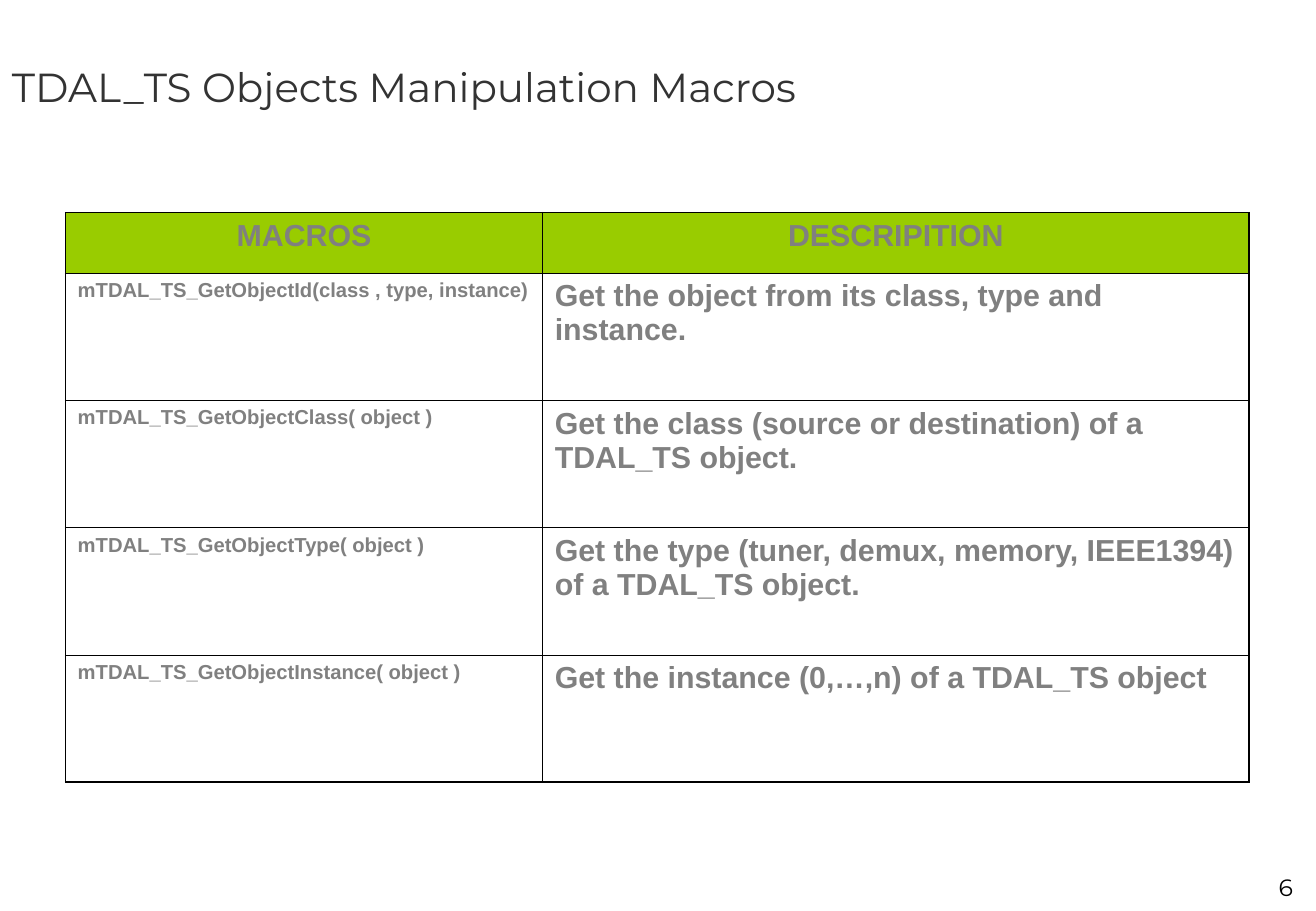
from dataclasses import dataclass

from lxml import etree
from pptx import Presentation
from pptx import util as u
from pptx.dml.color import RGBColor
from pptx.enum import text
from pptx.oxml.ns import qn


@dataclass(frozen=True)
class Theme:
    heading_font: str = "Montserrat"
    table_font: str = "Arial"
    title: str = "333333"
    grey: str = "808080"
    green: str = "99CC00"
    black: str = "000000"
    title_size: float = 24
    number_size: float = 14
    table_size: float = 18
    macro_size: float = 12
    outer_line: float = 1.08
    inner_line: float = 0.45


T = Theme()
W, H = 10.84, 7.5

# Table grid, in inches
LEFT, TOP = 0.54, 1.75
COLS = [3.93, 5.82]
HEADER_H, TABLE_H = 0.5, 4.69

ROWS = [
    ("MACROS", "DESCRIPITION"),
    ("mTDAL_TS_GetObjectId(class , type, instance)",
     "Get the object from its class, type and instance."),
    ("mTDAL_TS_GetObjectClass( object )",
     "Get the class (source or destination) of a TDAL_TS object."),
    ("mTDAL_TS_GetObjectType( object )",
     "Get the type (tuner, demux, memory, IEEE1394) of a TDAL_TS object."),
    ("mTDAL_TS_GetObjectInstance( object )",
     "Get the instance (0,…,n) of a TDAL_TS object"),
]


def write(tf, words, font, size, color, align=text.PP_ALIGN.LEFT, bold=False):
    tf.text = words
    tf.word_wrap = True
    p = tf.paragraphs[0]
    p.alignment = align
    f = p.runs[0].font
    f.name, f.size, f.bold = font, u.Pt(size), bold
    f.color.rgb = RGBColor.from_string(color)
    return p


def add_text(s, box, words, size, color, align, anchor):
    sp = s.shapes.add_textbox(*(u.Inches(v) for v in box))
    tf = sp.text_frame
    write(tf, words, T.heading_font, size, color, align)
    tf.vertical_anchor = anchor


def set_borders(cell, outer):
    """Draw all four sides, heavier on the sides named in outer."""
    tcPr = cell._tc.get_or_add_tcPr()
    for i, side in enumerate("LRTB"):
        width = T.outer_line if side in outer else T.inner_line
        ln = etree.Element(qn(f"a:ln{side}"), w=str(int(u.Pt(width))))
        fill = etree.SubElement(ln, qn("a:solidFill"))
        etree.SubElement(fill, qn("a:srgbClr"), val=T.black)
        tcPr.insert(i, ln)


def fill_cell(cell, words, row, col):
    header = row == 0
    size = T.macro_size if col == 0 and not header else T.table_size
    align = text.PP_ALIGN.CENTER if header else text.PP_ALIGN.LEFT
    p = write(cell.text_frame, words, T.table_font, size, T.grey, align, True)
    p.space_before = u.Pt(size / 4)
    if header:
        cell.fill.solid()
        cell.fill.fore_color.rgb = RGBColor.from_string(T.green)
    else:
        cell.fill.background()
    outer = "L" if col == 0 else "R"
    if header:
        outer += "T"
    if row == len(ROWS) - 1:
        outer += "B"
    set_borders(cell, outer)


def add_macro_table(s):
    box = (LEFT, TOP, sum(COLS), TABLE_H)
    sp = s.shapes.add_table(len(ROWS), len(COLS), *(u.Inches(v) for v in box))
    table = sp.table
    table.first_row = table.horz_banding = False
    for column, width in zip(table.columns, COLS):
        column.width = u.Inches(width)
    body_h = (TABLE_H - HEADER_H) / (len(ROWS) - 1)
    for i, row in enumerate(ROWS):
        table.rows[i].height = u.Inches(body_h if i else HEADER_H)
        for j, words in enumerate(row):
            fill_cell(table.cell(i, j), words, i, j)


def main():
    prs = Presentation()
    prs.slide_width, prs.slide_height = u.Inches(W), u.Inches(H)
    s = prs.slides.add_slide(prs.slide_layouts[6])

    # Title
    add_text(s, (0, 0, W, 0.19 * H), "TDAL_TS Objects Manipulation Macros",
             T.title_size, T.title, text.PP_ALIGN.LEFT, text.MSO_ANCHOR.MIDDLE)
    # Macros and their descriptions
    add_macro_table(s)
    # Page number
    add_text(s, (9.59, 7.14, 1.16, 0.33), "6",
             T.number_size, T.black, text.PP_ALIGN.RIGHT, text.MSO_ANCHOR.TOP)

    prs.save("out.pptx")


if __name__ == "__main__":
    main()
